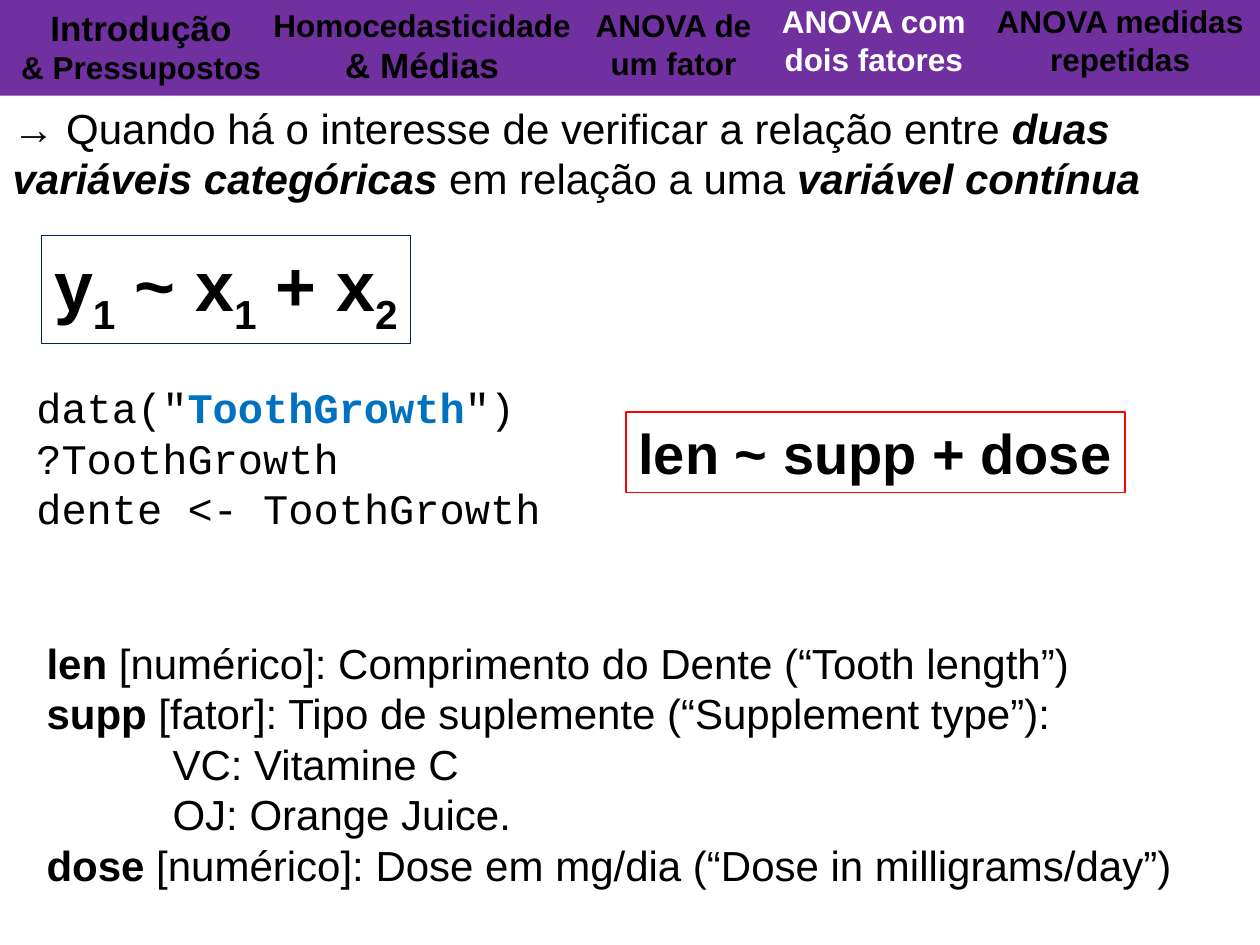
from dataclasses import dataclass
from lxml.etree import SubElement
from pptx import Presentation
from pptx.dml.color import RGBColor
from pptx.enum.shapes import MSO_SHAPE
from pptx.enum.text import MSO_ANCHOR, MSO_AUTO_SIZE, PP_ALIGN
from pptx.oxml.ns import qn
from pptx.util import Pt


@dataclass(frozen=True)
class Theme:
    """Colours, fonts and type sizes of the slide."""
    ink: str = "000000"
    white: str = "FFFFFF"
    band: str = "7030A0"
    navy: str = "002060"
    red: str = "FF0000"
    blue: str = "0070C0"
    sans: str = "Arial"
    mono: str = "Courier New"
    tab: int = 18
    head: int = 20
    body: int = 24
    model: int = 32
    big: int = 40


THEME = Theme()


def color(code):
    """Turn a hex code into a colour."""
    return RGBColor.from_string(code)


def add_run(para, text, marks="", size=THEME.body, ink=THEME.ink, face=THEME.sans):
    """Add one run; marks may hold b (bold), i (italic) and s (subscript)."""
    run = para.add_run()
    run.text = text
    font = run.font
    font.name, font.size = face, Pt(size)
    font.bold, font.italic = "b" in marks, "i" in marks
    font.color.rgb = color(ink)
    if "s" in marks:
        run._r.get_or_add_rPr().set("baseline", "-25000")


def fill_text(shape, lines, align=PP_ALIGN.LEFT, wrap=True, **style):
    """Write lines, each a list of (text, marks, own style) runs."""
    frame = shape.text_frame
    frame.word_wrap = wrap
    frame.auto_size = MSO_AUTO_SIZE.NONE
    frame.vertical_anchor = MSO_ANCHOR.TOP
    for index, line in enumerate(lines):
        para = frame.add_paragraph() if index else frame.paragraphs[0]
        para.alignment = align
        para.line_spacing = 1.0
        para.space_before = para.space_after = Pt(0)
        for text, marks, own in line:
            add_run(para, text, marks, **{**style, **own})


def place(shape, area):
    """Move a placeholder to an area given in points."""
    shape.left, shape.top, shape.width, shape.height = map(Pt, area)
    return shape


def add_text(slide, area, lines, **style):
    """Add a text box."""
    fill_text(slide.shapes.add_textbox(*map(Pt, area)), lines, **style)


def add_rect(slide, area, fill=None, edge=None):
    """Add a plain rectangle, filled or outlined."""
    rect = slide.shapes.add_shape(MSO_SHAPE.RECTANGLE, *map(Pt, area))
    rect.shadow.inherit = False
    if fill:
        rect.fill.solid()
        rect.fill.fore_color.rgb = color(fill)
    else:
        rect.fill.background()
    if edge:
        rect.line.color.rgb = color(edge)
        rect.line.width = Pt(0.75)
    else:
        rect.line.fill.background()
    return rect


def add_model(slide, area, edge, runs, size):
    """Add an outlined model formula."""
    fill_text(add_rect(slide, area, edge=edge), [runs], wrap=False, size=size)


def add_tabs(slide):
    """Add the band with the section names."""
    add_rect(slide, (0, 0, 720, 54.7), fill=THEME.band)
    large = {"size": THEME.head}
    tabs = [
        ((0, 0, 161.3, 53.3), [[("Introdução", "b", large)], [("& Pressupostos", "b", {})]]),
        ((144.7, 0, 193, 53.3), [[("Homocedasticidade ", "b", {}), ("& Médias", "b", large)]]),
        ((320.4, 0, 128.9, 50.4), [[("ANOVA de um fator", "b", {})]]),
        ((434.9, -2.2, 128.9, 50.4), [[("ANOVA com dois fatores", "b", {"ink": THEME.white})]]),
        ((558.7, -2.2, 162.7, 50.4), [[("ANOVA medidas repetidas", "b", {})]]),
    ]
    for area, lines in tabs:
        add_text(slide, area, lines, align=PP_ALIGN.CENTER, size=THEME.tab)


def add_list(slide, area, items):
    """Fill the body placeholder with (indent, runs) items without bullets."""
    body = place(slide.placeholders[1], area)
    fill_text(body, [runs for _, runs in items])
    for para, (indent, _) in zip(body.text_frame.paragraphs, items):
        props = para._p.get_or_add_pPr()
        props.set("marL", str(Pt(indent)))
        props.set("indent", "0")
        SubElement(props, qn("a:buNone"))


def main():
    """Build and save the slide."""
    deck = Presentation()
    deck.slide_width, deck.slide_height = Pt(720), Pt(540)
    slide = deck.slides.add_slide(deck.slide_layouts[1])

    fill_text(place(slide.shapes.title, (0, 54.7, 720, 64.8)), [[
        ("→ Quando há o interesse de verificar a relação entre ", "", {}),
        ("duas variáveis categóricas ", "bi", {}),
        ("em relação a uma ", "", {}),
        ("variável contínua", "bi", {}),
    ]])
    add_list(slide, (19.4, 360.7, 692, 151.2), [
        (0, [("len ", "b", {}), ("[numérico]: Comprimento do Dente (“Tooth length”)", "", {})]),
        (0, [("supp", "b", {}), (" [fator]: Tipo de suplemente (“Supplement type”):", "", {})]),
        (72, [("VC: Vitamine C", "", {})]),
        (72, [("OJ: Orange Juice.", "", {})]),
        (0, [("dose ", "b", {}), ("[numérico]: Dose em mg/dia (“Dose in milligrams/day”)", "", {})]),
    ])
    add_model(slide, (23.8, 134.6, 211, 61.9), THEME.navy, [
        ("y", "b", {}), ("1", "bs", {}), (" ~ x", "b", {}),
        ("1", "bs", {}), (" + x", "b", {}), ("2", "bs", {}),
    ], THEME.big)
    add_tabs(slide)
    add_text(slide, (13.7, 214.6, 302.4, 93.6), [
        [("data(\"", "", {}), ("ToothGrowth", "b", {"ink": THEME.blue}), ("\")", "", {})],
        [("?ToothGrowth", "", {})],
        [("dente <- ToothGrowth", "", {})],
    ], wrap=False, face=THEME.mono)
    add_model(slide, (357.8, 235.4, 285.1, 46.1), THEME.red,
              [("len ~ supp + dose", "b", {})], THEME.model)
    deck.save("out.pptx")


if __name__ == "__main__":
    main()
